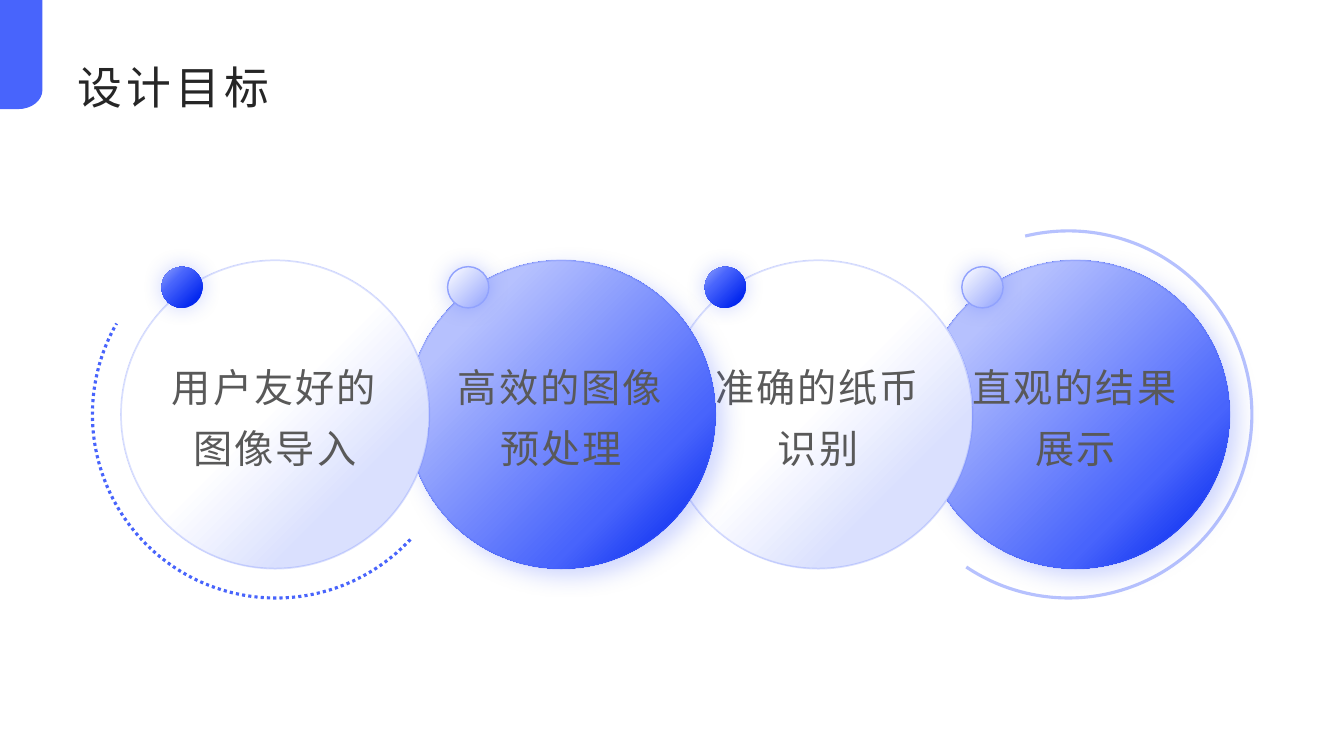
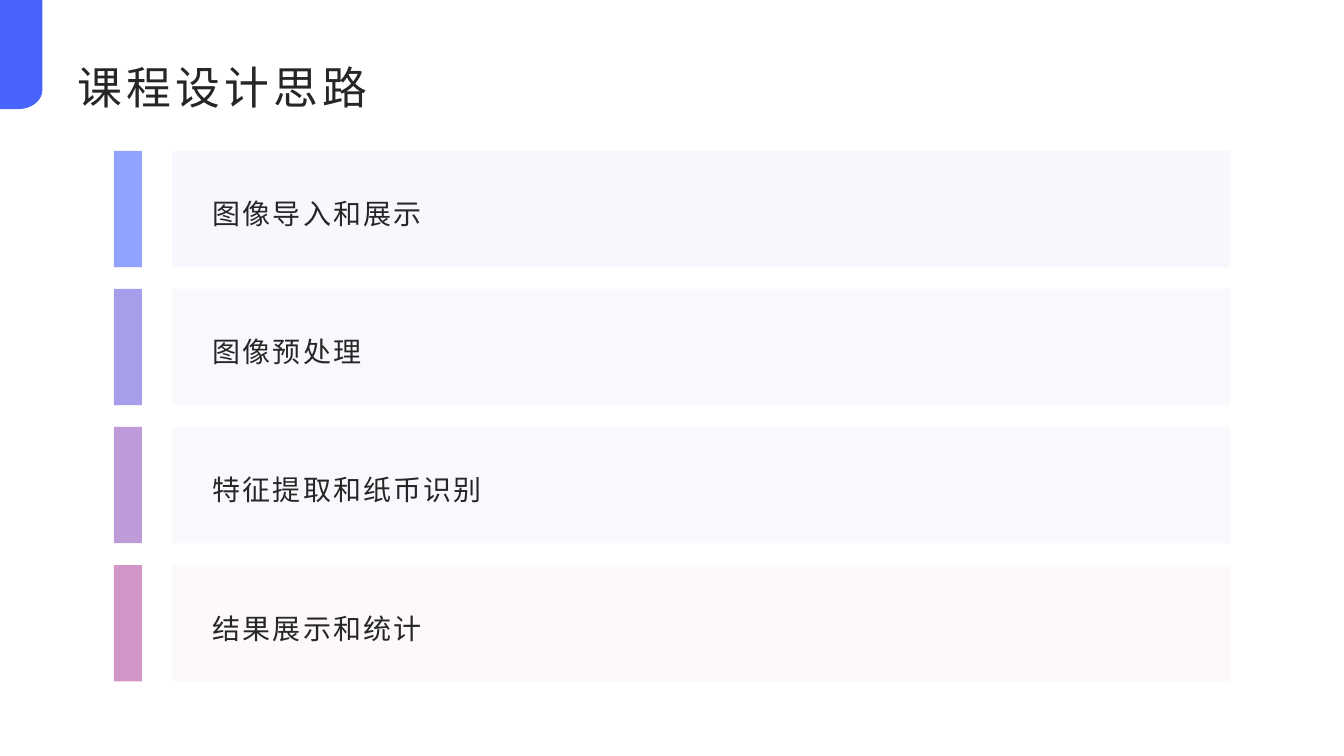
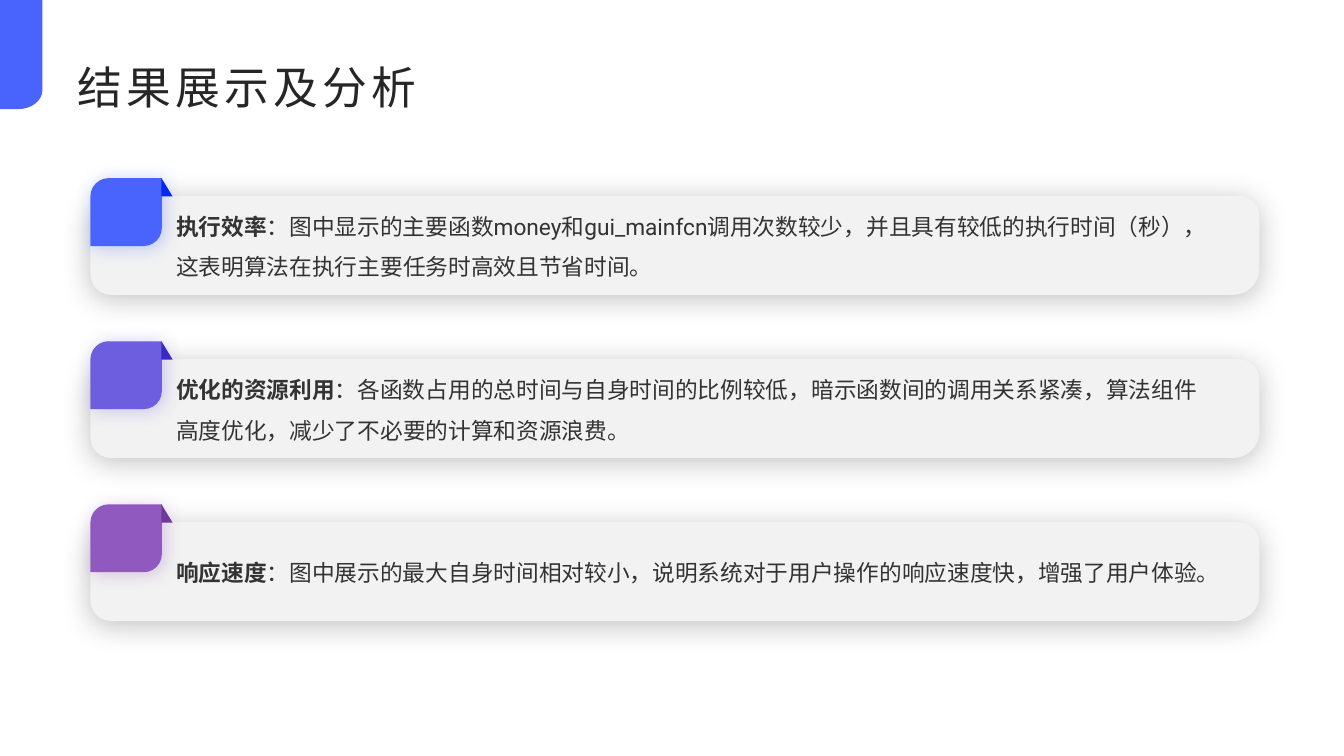
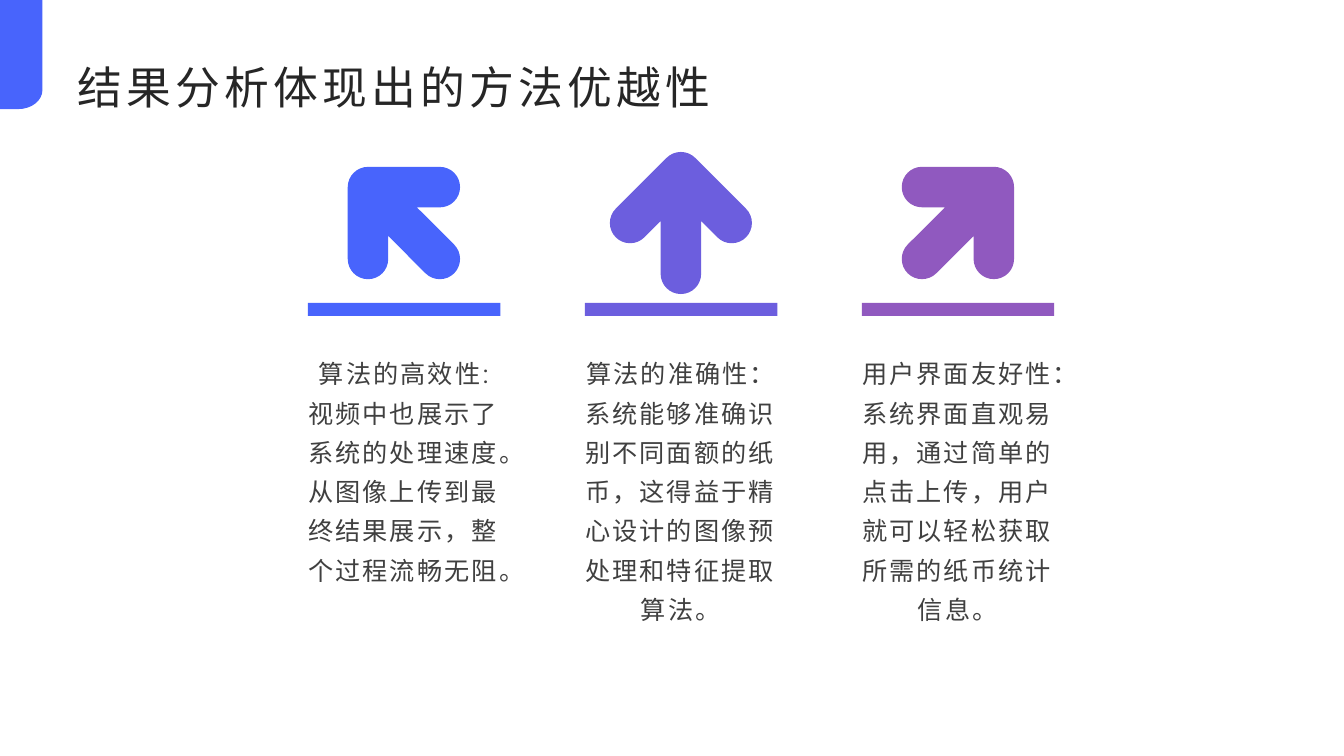
"""Build four slides on a banknote recognition course project."""
from dataclasses import dataclass
from itertools import pairwise
from math import cos, radians, sin, tan
from typing import NamedTuple, Optional

from lxml import etree
from pptx import Presentation
from pptx import util as u
from pptx.dml.color import RGBColor
from pptx.enum import dml, shapes, text
from pptx.oxml import ns

HUES = {
    "blue": "4864FC", "navy": "0428EF", "sky": "91A2FD", "pale": "B6C1FE",
    "mist": "DAE0FE", "violet": "6C5EDE", "indigo": "3928C5", "haze": "E2DFF8",
    "purple": "9059BF", "plum": "6D3A98", "lilac": "E9DEF2", "pink": "B453A1",
    "blush": "F0DDEC", "white": "FFFFFF", "card": "F2F2F2", "black": "000000",
    "ink": "262626", "dark": "333333", "slate": "404040", "grey": "595959",
}
KINDS = shapes.MSO_SHAPE
MID = text.MSO_ANCHOR.MIDDLE
CENTER = text.PP_ALIGN.CENTER
BLANK = 6


class Box(NamedTuple):
    left: float
    top: float
    width: float
    height: float


class Glow(NamedTuple):
    hue: str
    alpha: int
    blur: float
    dist: float
    angle: int


class Edge(NamedTuple):
    hue: str
    width: float
    alpha: int = 100
    dash: Optional[dml.MSO_LINE] = None


class Ball(NamedTuple):
    left: float
    label: str
    dark: bool


class Row(NamedTuple):
    label: str
    bar: str
    panel: str


class Card(NamedTuple):
    lead: str
    body: str
    tag: str
    fold: str


class Point(NamedTuple):
    head: str
    body: str
    hue: str
    turn: int


@dataclass(frozen=True)
class Style:
    size: float
    hue: str
    track: float = 1.5
    space: Optional[float] = 1.3
    face: str = "Roboto"
    align: Optional[text.PP_ALIGN] = None
    anchor: text.MSO_ANCHOR = text.MSO_ANCHOR.TOP
    pads: tuple = (0.25, 0.13, 0.25, 0.13)


TITLE = Style(32, "ink", 3, None, "Lato", anchor=text.MSO_ANCHOR.BOTTOM)
LABEL = Style(28, "grey", align=CENTER, pads=(0, 0, 0, 0))
ENTRY = Style(20, "ink", anchor=MID)
NOTE = Style(16.2, "dark", 0, 1.5, anchor=MID, pads=(0.25, 0, 0.25, 0.3))
CLAIM = Style(18, "slate", align=CENTER)

DARK = ((20, "pale"), (73, "blue"), (94, "navy"))
LIGHT = ((48, "white"), (75, "mist"))
DEEP = ((0, "sky"), (33, "blue"), (82, "navy"))
SOFT = ((0, "white"), (100, "sky"))

BALLS = (
    Ball(3.05, "用户友好的图像导入", False),
    Ball(10.26, "高效的图像预处理", True),
    Ball(16.74, "准确的纸币识别", False),
    Ball(23.22, "直观的结果展示", True),
)
ROWS = (
    Row("图像导入和展示", "blue", "mist"),
    Row("图像预处理", "violet", "haze"),
    Row("特征提取和纸币识别", "purple", "lilac"),
    Row("结果展示和统计", "pink", "blush"),
)
CARDS = (
    Card("执行效率", "：图中显示的主要函数money和gui_mainfcn调用次数较少，并且具有较低的执行时间（秒），这表明算法在执行主要任务时高效且节省时间。", "blue", "navy"),
    Card("优化的资源利用", "：各函数占用的总时间与自身时间的比例较低，暗示函数间的调用关系紧凑，算法组件高度优化，减少了不必要的计算和资源浪费。", "violet", "indigo"),
    Card("响应速度", "：图中展示的最大自身时间相对较小，说明系统对于用户操作的响应速度快，增强了用户体验。", "purple", "plum"),
)
POINTS = (
    Point("算法的高效性:", "视频中也展示了系统的处理速度。从图像上传到最终结果展示，整个过程流畅无阻。", "blue", -45),
    Point("算法的准确性：", "系统能够准确识别不同面额的纸币，这得益于精心设计的图像预处理和特征提取算法。", "violet", 0),
    Point("用户界面友好性：", "系统界面直观易用，通过简单的点击上传，用户就可以轻松获取所需的纸币统计信息。", "purple", 45),
)


def tint(hue: str) -> RGBColor:
    """Return the named colour."""
    return RGBColor.from_string(HUES[hue])


def child(node, tag: str, **attrs):
    """Append a drawing element and return it."""
    return etree.SubElement(node, ns.qn(tag), {k: str(v) for k, v in attrs.items()})


def fade(node, alpha: int) -> None:
    """Make the solid colour below a node see-through."""
    if alpha < 100:
        child(next(node.iter(ns.qn("a:srgbClr"))), "a:alpha", val=alpha * 1000)


def blend(shape, stops: tuple) -> None:
    """Fill a shape with a gradient spreading from its top left corner."""
    shape.fill.background()
    props = shape._element.spPr
    grad = etree.Element(ns.qn("a:gradFill"), rotWithShape="1")
    props.replace(props.find(ns.qn("a:noFill")), grad)
    items = child(grad, "a:gsLst")
    for pos, hue in stops:
        child(child(items, "a:gs", pos=pos * 1000), "a:srgbClr", val=HUES[hue])
    child(child(grad, "a:path", path="circle"), "a:fillToRect", r=100000, b=100000)


def paint(shape, fill=None, alpha: int = 100, edge: Optional[Edge] = None,
          glow: Optional[Glow] = None) -> None:
    """Set the fill, line and shadow of a shape."""
    props = shape._element.spPr
    if fill is None:
        shape.fill.background()
    elif isinstance(fill, tuple):
        blend(shape, fill)
    else:
        shape.fill.solid()
        shape.fill.fore_color.rgb = tint(fill)
        fade(props.find(ns.qn("a:solidFill")), alpha)
    if edge:
        shape.line.color.rgb = tint(edge.hue)
        shape.line.width = u.Pt(edge.width)
        shape.line.dash_style = edge.dash
        fade(props.find(ns.qn("a:ln")), edge.alpha)
    else:
        shape.line.fill.background()
    shape.shadow.inherit = False
    if glow:
        cast = child(props.find(ns.qn("a:effectLst")), "a:outerShdw",
                     blurRad=u.Pt(glow.blur), dist=u.Pt(glow.dist),
                     dir=glow.angle * 60000, algn="ctr", rotWithShape=0)
        child(cast, "a:srgbClr", val=HUES[glow.hue])
        fade(cast, glow.alpha)


def draw(slide, kind, box: Box, fill=None, adjust: tuple = (), **looks):
    """Add a painted preset shape."""
    shape = slide.shapes.add_shape(kind, *map(u.Cm, box))
    for i, value in enumerate(adjust):
        shape.adjustments[i] = value
    paint(shape, fill, **looks)
    return shape


def trace(slide, steps: list, fill: str):
    """Add a closed outline; a step of one point is a line, of three a curve."""
    start, *ends = [tuple(map(u.Cm, step[-1])) for step in steps]
    maker = slide.shapes.build_freeform(*start, scale=1.0)
    maker.add_line_segments(ends, close=True)
    shape = maker.convert_to_shape()
    lines = list(shape._element.spPr.iter(ns.qn("a:lnTo")))
    for line, step in zip(lines, steps[1:]):
        if len(step) == 3:
            bend = etree.Element(ns.qn("a:cubicBezTo"))
            for x, y in step:
                child(bend, "a:pt", x=u.Cm(x) - shape.left, y=u.Cm(y) - shape.top)
            line.getparent().replace(line, bend)
    paint(shape, fill)
    return shape


def curve(x: float, y: float, wide: float, high: float, *turns: int) -> list:
    """Return outline steps along an elliptic arc through the given angles."""
    def spot(angle: float, pull: float = 0) -> tuple:
        """Return a point of the arc, pulled along its tangent."""
        return (x + wide * (cos(angle) - pull * sin(angle)),
                y + high * (sin(angle) + pull * cos(angle)))

    steps = [(spot(radians(turns[0])),)]
    for a, b in pairwise(map(radians, turns)):
        pull = 4 / 3 * tan((b - a) / 4)
        steps.append((spot(a, pull), spot(b, -pull), spot(b)))
    return steps


def write(slide, box: Box, style: Style, *paras: str, lead: str = "") -> None:
    """Add a text box, with an optional bold lead before its first paragraph."""
    frame = slide.shapes.add_textbox(*map(u.Cm, box)).text_frame
    frame.word_wrap = True
    frame.vertical_anchor = style.anchor
    (frame.margin_left, frame.margin_top,
     frame.margin_right, frame.margin_bottom) = map(u.Cm, style.pads)
    for i, words in enumerate(paras):
        para = frame.add_paragraph() if i else frame.paragraphs[0]
        para.alignment = style.align
        para.line_spacing = style.space
        font = para.font
        font.name = style.face
        font.size = u.Pt(style.size)
        font.color.rgb = tint(style.hue)
        para._p.pPr.find(ns.qn("a:defRPr")).set("spc", str(int(style.track * 100)))
        if lead and not i:
            run = para.add_run()
            run.text = lead
            run.font.bold = True
        para.add_run().text = words


def begin(deck, title: str):
    """Add a slide with its title."""
    slide = deck.slides.add_slide(deck.slide_layouts[BLANK])
    write(slide, Box(1.7, 1.11, 30.48, 1.88), TITLE, title)
    return slide


def share(deck) -> None:
    """Put the corner band on the layout that all slides use."""
    steps = [((0, 0),), ((1.07, 0),), *curve(0.46, 2.27, 0.61, 0.48, 0, 90), ((0, 2.75),)]
    band = trace(deck.slides[0], steps, "blue")
    deck.slide_layouts[BLANK].shapes._spTree.append(band._element)


def goals(deck) -> None:
    """Draw the chain of goal circles."""
    slide = begin(deck, "设计目标")
    rings = ((22.3, (256.4, 123.8), Edge("pale", 2.25)),
             (2.33, (42.9, 209.7), Edge("blue", 2.25, dash=dml.MSO_LINE.ROUND_DOT)))
    for left, angles, edge in rings:
        draw(slide, KINDS.ARC, Box(left, 5.82, 9.25, 9.25),
             adjust=tuple(a * 0.6 for a in angles), edge=edge)
    halo = Glow("blue", 28, 15, 0, 0)
    for ball in reversed(BALLS):
        draw(slide, KINDS.OVAL, Box(ball.left, 6.56, 7.77, 7.77),
             DARK if ball.dark else LIGHT, edge=Edge("blue", 1.25, 20),
             glow=Glow("blue", 25, 16, 8, 45) if ball.dark else None)
        draw(slide, KINDS.OVAL, Box(ball.left + 1.02, 6.72, 1.04, 1.04),
             SOFT if ball.dark else DEEP,
             edge=Edge("sky", 1) if ball.dark else None, glow=halo)
        write(slide, Box(ball.left + 1.2, 8.8, 5.36, 3.68), LABEL, ball.label)


def ideas(deck) -> None:
    """Draw the list of design steps."""
    slide = begin(deck, "课程设计思路")
    for i, row in enumerate(ROWS):
        top = 3.8 + 3.48 * i
        draw(slide, KINDS.RECTANGLE, Box(4.34, top, 26.67, 2.93), row.panel, alpha=20)
        draw(slide, KINDS.RECTANGLE, Box(2.87, top, 0.71, 2.93), row.bar, alpha=60)
        write(slide, Box(5.11, top + 0.25, 25.5, 2.41), ENTRY, row.label)


def results(deck) -> None:
    """Draw the tagged result cards."""
    slide = begin(deck, "结果展示及分析")
    for i, card in enumerate(CARDS):
        top = 4.49 + 4.11 * i
        draw(slide, KINDS.ROUND_2_DIAG_RECTANGLE, Box(2.28, top + 0.45, 29.46, 2.49),
             "card", (0.267, 0.208), glow=Glow("black", 23, 20, 3, 107))
        draw(slide, KINDS.ROUND_2_DIAG_RECTANGLE, Box(2.28, top, 1.8, 1.71),
             card.tag, (0.267, 0), glow=Glow(card.tag, 31, 13, 2, 45))
        draw(slide, KINDS.RIGHT_TRIANGLE, Box(4.07, top, 0.28, 0.46), card.fold)
        write(slide, Box(4.19, top + 0.48, 26.62, 2.44), NOTE, card.body, lead=card.lead)


def arrow(slide, x: float, y: float, hue: str, turn: int) -> None:
    """Draw a round-ended arrow, pointing up before its turn."""
    cap, reach = 0.51, 1.28
    notch = y + cap * 2 ** 0.5 - reach + cap
    steps = [
        *curve(x, y - reach, cap, cap, -135, -90, -45),
        *curve(x + reach, y, cap, cap, -45, 0, 90, 135),
        ((x + cap, notch),),
        *curve(x, y + reach, cap, cap, 0, 90, 180),
        ((x - cap, notch),),
        *curve(x - reach, y, cap, cap, 45, 90, 180, 225),
    ]
    trace(slide, steps, hue).rotation = turn


def merits(deck) -> None:
    """Draw the three merits under their arrows."""
    slide = begin(deck, "结果分析体现出的方法优越性")
    for i, point in enumerate(POINTS):
        mid = 10.18 + 6.98 * i
        arrow(slide, mid, 5.62, point.hue, point.turn)
        write(slide, Box(mid - 2.8, 8.68, 5.59, 8.51), CLAIM, point.head, point.body)
        draw(slide, KINDS.RECTANGLE, Box(mid - 2.42, 7.63, 4.85, 0.33), point.hue)


def main() -> None:
    """Build and save the deck."""
    deck = Presentation()
    deck.slide_width, deck.slide_height = u.Cm(33.87), u.Cm(19.05)
    for build in (goals, ideas, results, merits):
        build(deck)
    share(deck)
    deck.save("out.pptx")


if __name__ == "__main__":
    main()
